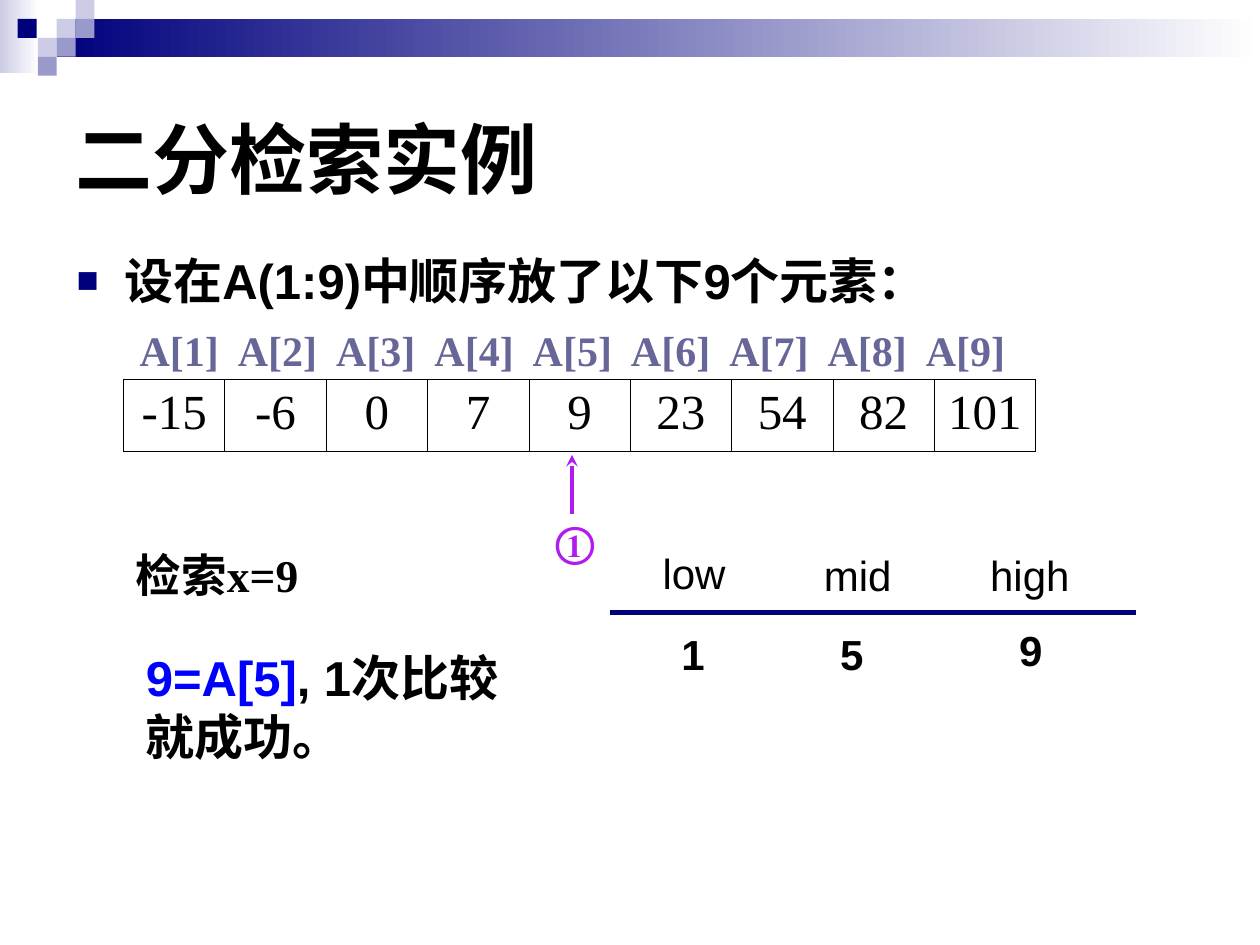
from lxml import etree
from pptx import Presentation
from pptx.dml.color import RGBColor
from pptx.enum.shapes import MSO_CONNECTOR, MSO_SHAPE
from pptx.enum.text import MSO_ANCHOR, MSO_AUTO_SIZE, PP_ALIGN
from pptx.oxml.ns import qn
from pptx.util import Inches, Pt

BLACK = RGBColor(0x00, 0x00, 0x00)
WHITE = RGBColor(0xFF, 0xFF, 0xFF)
NAVY = RGBColor(0x00, 0x00, 0x7D)
LILAC = RGBColor(0xCC, 0xCC, 0xE6)
PERIWINKLE = RGBColor(0x99, 0x99, 0xCC)
SLATE = RGBColor(0x66, 0x66, 0x99)
PURPLE = RGBColor(0xB2, 0x1B, 0xEF)
BLUE = RGBColor(0x00, 0x00, 0xFF)
SANS, SERIF = "Arial", "Times New Roman"
RECT = MSO_SHAPE.RECTANGLE
STRAIGHT = MSO_CONNECTOR.STRAIGHT
LEFT, CENTER = PP_ALIGN.LEFT, PP_ALIGN.CENTER
MIDDLE, TOP = MSO_ANCHOR.MIDDLE, MSO_ANCHOR.TOP
NO_FIT = MSO_AUTO_SIZE.NONE

VALUES = [-15, -6, 0, 7, 9, 23, 54, 82, 101]
LABEL_PITCH = 0.78
TILE = 0.15
TILES = [
    (0.45, 0.15, LILAC), (0.6, 0, LILAC), (0.6, 0.15, PERIWINKLE),
    (0.3, 0.3, LILAC), (0.14, 0.15, NAVY), (0.45, 0.3, PERIWINKLE),
    (0.3, 0.45, PERIWINKLE),
]
BOUNDS = [
    ("low", 5.16, 4.3, "1", 5.31, 4.94),
    ("mid", 6.44, 4.31, "5", 6.57, 4.94),
    ("high", 7.76, 4.31, "9", 7.99, 4.91),
]


def add_element(parent, tag, **attrs):
    return etree.SubElement(parent, qn(tag), attrs)


class SlideBuilder:
    def __init__(self, slide):
        self.slide = slide
        self.shapes = slide.shapes

    def style(self, font, size, color=BLACK, bold=False, name=SANS):
        font.name = name
        font.size = Pt(size)
        font.bold = bold
        font.color.rgb = color

    def title(self, text, x, y, w, h):
        sp = self.shapes.title
        sp.left, sp.top, sp.width, sp.height = map(Inches, (x, y, w, h))
        tf = sp.text_frame
        tf.text = text
        tf.auto_size = NO_FIT
        tf.vertical_anchor = MIDDLE
        p = tf.paragraphs[0]
        p.alignment = LEFT
        self.style(p.runs[0].font, 44, bold=True)

    def rect(self, x, y, w, h, color, end_color=None):
        sp = self.shapes.add_shape(RECT, *map(Inches, (x, y, w, h)))
        sp.shadow.inherit = False
        sp.line.fill.background()
        if end_color is None:
            sp.fill.solid()
            sp.fill.fore_color.rgb = color
        else:
            sp.fill.gradient()
            sp.fill.gradient_angle = 0
            for stop, rgb in zip(sp.fill.gradient_stops, (color, end_color)):
                stop.color.rgb = rgb

    def text(self, text, x, y, w, h, size=24, color=BLACK, bold=False, name=SANS):
        tf = self.shapes.add_textbox(*map(Inches, (x, y, w, h))).text_frame
        tf.word_wrap = True
        tf.vertical_anchor = TOP
        p = tf.paragraphs[0]
        p.text = text
        self.style(p.runs[0].font, size, color, bold, name)
        return p

    def bullet(self, text, x, y, w, h):
        p = self.text(text, x, y, w, h, 28, bold=True)
        pPr = p._p.get_or_add_pPr()
        pPr.set("marL", str(Inches(0.38)))
        pPr.set("indent", str(-Inches(0.38)))
        bu_color = add_element(pPr, "a:buClr")
        add_element(bu_color, "a:srgbClr", val=str(NAVY))
        add_element(pPr, "a:buSzPct", val="75000")
        add_element(pPr, "a:buFont", typeface=SANS)
        add_element(pPr, "a:buChar", char="■")

    def index_labels(self, labels, x, y, w, h):
        p = self.text("\t".join(labels), x, y, w, h, 24, SLATE, True, SERIF)
        p.line_spacing = 0.9
        tabs = add_element(p._p.get_or_add_pPr(), "a:tabLst")
        for i in range(1, len(labels)):
            add_element(tabs, "a:tab", pos=str(Inches(LABEL_PITCH * i)), algn="l")

    def line(self, x1, y1, x2, y2, color, width, arrow=False):
        cxn = self.shapes.add_connector(STRAIGHT, *map(Inches, (x1, y1, x2, y2)))
        cxn.line.color.rgb = color
        cxn.line.width = Pt(width)
        if arrow:
            add_element(cxn.line._get_or_add_ln(), "a:tailEnd", type="stealth")
        add_element(cxn._element.spPr, "a:effectLst")

    def border(self, cell):
        tcPr = cell._tc.get_or_add_tcPr()
        for side in ("a:lnL", "a:lnR", "a:lnT", "a:lnB"):
            ln = add_element(tcPr, side, w=str(Pt(0.45)))
            add_element(add_element(ln, "a:solidFill"), "a:srgbClr", val=str(BLACK))

    def array(self, values, x, y, w, h):
        frame = self.shapes.add_table(1, len(values), *map(Inches, (x, y, w, h)))
        table = frame.table
        table.first_row = False
        table.horz_banding = False
        for cell, value in zip(table.iter_cells(), values):
            self.border(cell)
            cell.fill.background()
            cell.text_frame.text = str(value)
            p = cell.text_frame.paragraphs[0]
            p.alignment = CENTER
            self.style(p.runs[0].font, 28, name=SERIF)


def main():
    prs = Presentation()
    prs.slide_width, prs.slide_height = Inches(10), Inches(7.5)
    s = SlideBuilder(prs.slides.add_slide(prs.slide_layouts[5]))

    s.rect(0, 0, 0.31, 0.58, LILAC, WHITE)
    s.rect(0.45, 0.15, 9.55, 0.3, NAVY, WHITE)
    for x, y, color in TILES:
        s.rect(x, y, TILE, TILE, color)

    s.title("二分检索实例", 0.5, 0.5, 9, 1.5)
    s.bullet("设在A(1:9)中顺序放了以下9个元素：", 0.51, 1.94, 8.28, 0.6)
    query = s.text("检索x=9", 0.98, 4.38, 1.65, 0.48, 26, bold=True, name=SERIF)
    query.line_spacing = 0.8

    s.array(VALUES, 0.98, 3.01, 7.24, 0.57)
    labels = [f"A[{i}]" for i in range(1, len(VALUES) + 1)]
    s.index_labels(labels, 1.01, 2.57, 7.23, 0.46)
    s.line(4.54, 4.08, 4.54, 3.61, PURPLE, 2.25, arrow=True)
    s.text("①", 4.31, 4.04, 0.44, 0.5, 24, PURPLE, True, SERIF)

    for name, name_x, name_y, value, value_x, value_y in BOUNDS:
        s.text(name, name_x, name_y, 0.92, 0.5)
        s.text(value, value_x, value_y, 0.63, 0.5, bold=True)
    s.line(4.84, 4.86, 9.02, 4.86, NAVY, 3)

    p = s.text("9=A[5]", 1.06, 5.09, 3.15, 1.04, 28, BLUE, True)
    r = p.add_run()
    r.text = ", 1次比较就成功。"
    s.style(r.font, 28, bold=True)

    prs.save("out.pptx")


if __name__ == "__main__":
    main()
